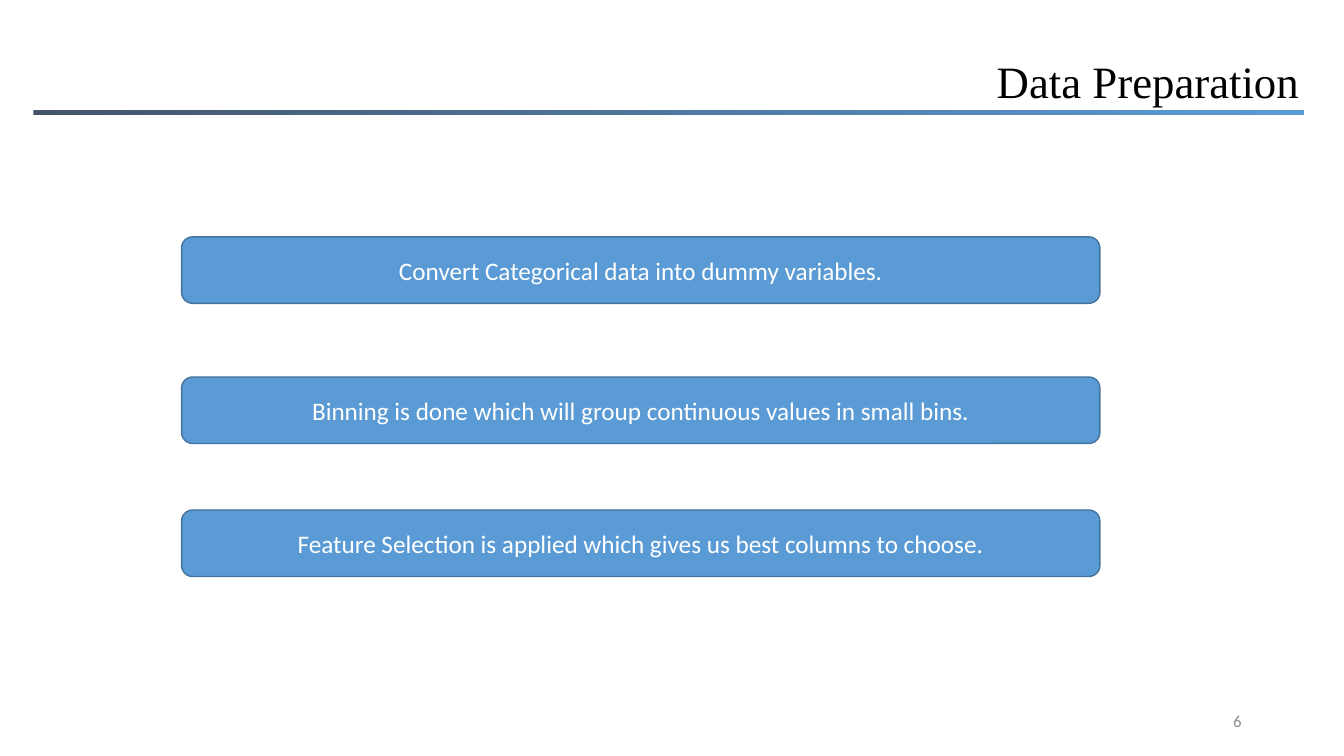
from pptx import Presentation
from pptx.dml.color import RGBColor
from pptx.enum import shapes, text
from pptx.util import Pt

COLORS = {"blue": "5B9BD5", "outline": "43739E", "slate": "44546A",
          "title": "000000", "step": "FFFFFF", "number": "8C8C8C"}
TITLE = "Data Preparation"
PAGE_NUMBER = "6"
STEPS = [  # wording, top
    ("Convert Categorical data into dummy variables.", 169.2),
    ("Binning is done which will group continuous values in small bins.", 269.3),
    ("Feature Selection is applied which gives us best columns to choose.", 364.3),
]
STEP_LEFT, STEP_WIDTH, STEP_HEIGHT = 129.7, 656, 47.5


def color(name):
    return RGBColor.from_string(COLORS[name])


def write(shape, words, font, size, color_name, align):
    paragraph = shape.text_frame.paragraphs[0]
    paragraph.text = words
    paragraph.alignment = align
    paragraph.font.name = font
    paragraph.font.size = Pt(size)
    paragraph.font.color.rgb = color(color_name)


def add_box(slide, kind, left, top, width, height):
    box = slide.shapes.add_shape(kind, Pt(left), Pt(top), Pt(width), Pt(height))
    box.shadow.inherit = False
    return box


def add_title_rule(slide):
    rule = add_box(slide, shapes.MSO_SHAPE.RECTANGLE, 23.8, 78.5, 908, 4)
    rule.line.fill.background()
    rule.fill.gradient()
    rule.fill.gradient_angle = 0
    for stop, name in zip(rule.fill.gradient_stops, ("slate", "blue")):
        stop.color.rgb = color(name)


def add_step(slide, words, top):
    step = add_box(slide, shapes.MSO_SHAPE.ROUNDED_RECTANGLE,
                   STEP_LEFT, top, STEP_WIDTH, STEP_HEIGHT)
    step.fill.solid()
    step.fill.fore_color.rgb = color("blue")
    step.line.color.rgb = color("outline")
    step.line.width = Pt(1)
    step.text_frame.vertical_anchor = text.MSO_ANCHOR.MIDDLE
    write(step, words, "Calibri", 18, "step", text.PP_ALIGN.CENTER)


def main():
    presentation = Presentation()
    presentation.slide_width, presentation.slide_height = Pt(960), Pt(540)
    slide = presentation.slides.add_slide(presentation.slide_layouts[6])

    add_title_rule(slide)

    number = slide.shapes.add_textbox(Pt(678), Pt(500.5), Pt(216), Pt(28.75))
    number.text_frame.word_wrap = True
    number.text_frame.vertical_anchor = text.MSO_ANCHOR.MIDDLE
    write(number, PAGE_NUMBER, "Calibri", 12, "number", text.PP_ALIGN.RIGHT)

    title = slide.shapes.add_textbox(Pt(704.9), Pt(34.6), Pt(232.6), Pt(46))
    title.text_frame.word_wrap = False
    title.text_frame.auto_size = text.MSO_AUTO_SIZE.SHAPE_TO_FIT_TEXT
    write(title, TITLE, "Times New Roman", 32, "title", text.PP_ALIGN.LEFT)

    for words, top in STEPS:
        add_step(slide, words, top)

    presentation.save("out.pptx")


if __name__ == "__main__":
    main()
